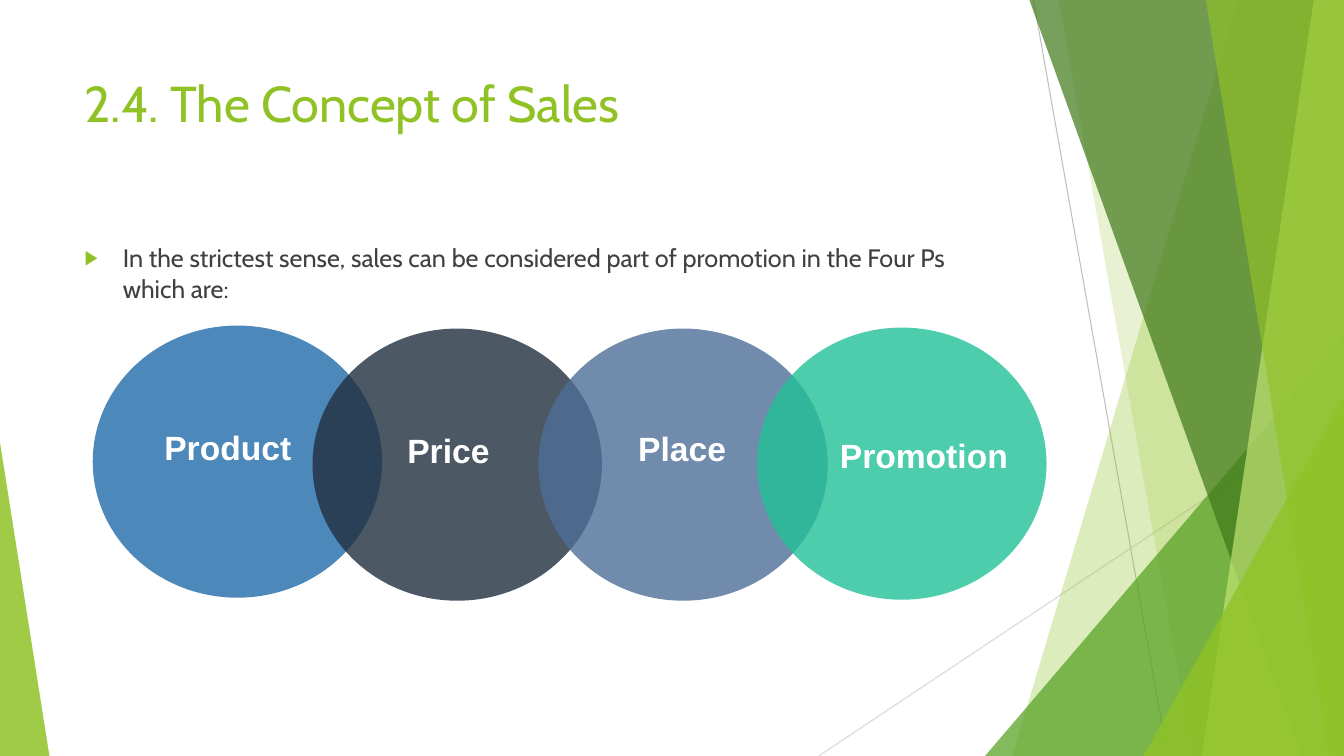
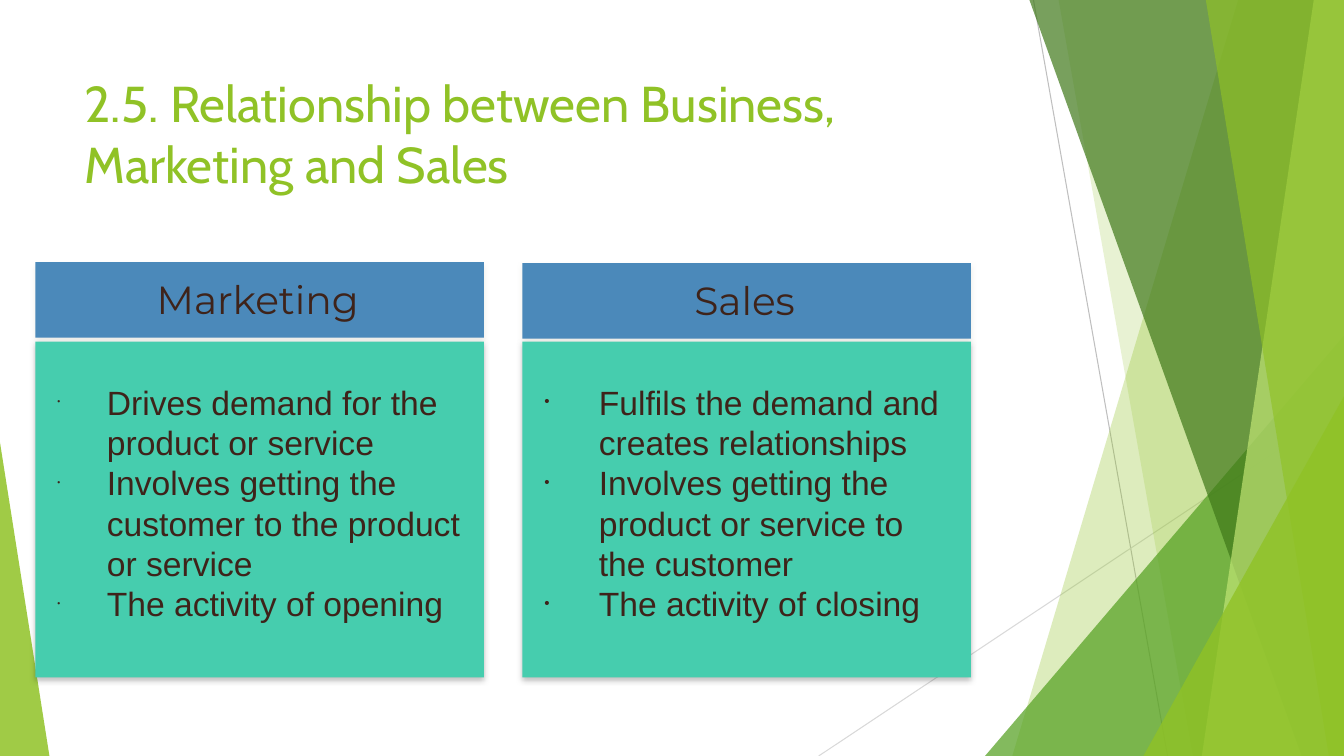
from lxml import etree
from pptx import Presentation
from pptx.dml.color import RGBColor
from pptx.enum.shapes import MSO_CONNECTOR, MSO_SHAPE
from pptx.enum.text import MSO_ANCHOR, PP_ALIGN
from pptx.oxml.ns import qn
from pptx.util import Pt

OVAL, RECTANGLE, TRIANGLE = MSO_SHAPE.OVAL, MSO_SHAPE.RECTANGLE, MSO_SHAPE.ISOSCELES_TRIANGLE
STRAIGHT = MSO_CONNECTOR.STRAIGHT
TOP, MIDDLE = MSO_ANCHOR.TOP, MSO_ANCHOR.MIDDLE
LEFT, CENTER = PP_ALIGN.LEFT, PP_ALIGN.CENTER

EMU_PER_PX = 9144
WIDTH, HEIGHT = 1333, 750

GREEN = RGBColor(0x90, 0xC2, 0x26)
MID_GREEN = RGBColor(0x54, 0xA0, 0x21)
DARK_GREEN = RGBColor(0x3F, 0x78, 0x19)
PALE_GREEN = RGBColor(0xC0, 0xE4, 0x74)
GRAY = RGBColor(0xBF, 0xBF, 0xBF)
LIGHT_GRAY = RGBColor(0xD9, 0xD9, 0xD9)
BODY_GRAY = RGBColor(0x40, 0x40, 0x40)
WHITE = RGBColor(0xFF, 0xFF, 0xFF)
BLACK = RGBColor(0x00, 0x00, 0x00)
BLUE = RGBColor(0x21, 0x6B, 0xA9)
NAVY = RGBColor(0x21, 0x2F, 0x3F)
SLATE = RGBColor(0x4D, 0x6F, 0x96)
TEAL = RGBColor(0x22, 0xC1, 0x99)
HEADER_BLUE = RGBColor(0x4B, 0x89, 0xBA)
CARD_TEAL = RGBColor(0x46, 0xCD, 0xAE)
HEADER_SHADOW = RGBColor(0xB8, 0xBA, 0xA8)
BROWN = RGBColor(0x3E, 0x23, 0x1A)

THIN_LINES = [((1025, 0), (1158, HEIGHT), GRAY), ((WIDTH, 403), (812, HEIGHT), LIGHT_GRAY)]
# name
BANDS = [
    ("edge", (1228, 1004), GREEN, 30),
    ("edge", (1050, 1183), GREEN, 20),
    ("triangle", (977, 333, 356, 417, 1), MID_GREEN, 72),
    ("edge", (1021, 1291), DARK_GREEN, 70),
    ("edge", (1303, 1192), PALE_GREEN, 70),
    ("edge", (1196, 1318), GREEN, 65),
    ("triangle", (1134, 393, 199, 357, 1), GREEN, 80),
    ("triangle", (0, 439, 49, 311, 0), GREEN, 85),
]

SALES_TITLE = "2.4. The Concept of Sales"
SALES_INTRO = ("In the strictest sense, sales can be considered part of promotion "
               "in the Four Ps which are:")
CIRCLE_SIZE = (287, 270)
FOUR_PS = [
    ("Product", (92, 323), (150, 411), BLUE),
    ("Price", (310, 326), (391, 414), NAVY),
    ("Place", (534, 326), (620, 412), SLATE),
    ("Promotion", (751, 325), (820, 418), TEAL),
]

RELATIONSHIP_TITLE = "2.5. Relationship between Business, Marketing and Sales"
CARD_WIDTH = 445
CARDS = [
    {"heading": "Marketing", "left": 35, "header_top": 260, "indent": 49, "bullet_size": 25,
     "points": ["Drives demand for the product or service",
                "Involves getting the customer to the product or service",
                "The activity of opening"]},
    {"heading": "Sales", "left": 518, "header_top": 261, "indent": 54, "bullet_size": 45,
     "points": ["Fulfils the demand and creates relationships",
                "Involves getting the product or service to the customer",
                "The activity of closing"]},
]


def px(length):
    return length * EMU_PER_PX


def add_color(parent, color, alpha):
    color_element = etree.SubElement(parent, qn("a:srgbClr"), val=str(color))
    etree.SubElement(color_element, qn("a:alpha"), val=str(alpha * 1000))


def paint(shape, color, alpha=100):
    shape.shadow.inherit = False
    shape.fill.solid()
    shape.fill.fore_color.rgb = color
    shape.line.fill.background()
    if alpha < 100:
        color_element = shape._element.spPr.find(qn("a:solidFill")).find(qn("a:srgbClr"))
        etree.SubElement(color_element, qn("a:alpha"), val=str(alpha * 1000))
    return shape


def add_shape(slide, kind, left, top, width, height, color, alpha=100):
    shape = slide.shapes.add_shape(kind, px(left), px(top), px(width), px(height))
    return paint(shape, color, alpha)


def add_soft_shadow(shape, color):
    effects = shape._element.spPr.find(qn("a:effectLst"))
    shadow = etree.SubElement(effects, qn("a:outerShdw"), blurRad=str(Pt(4)),
                              dist=str(Pt(2)), dir="5400000", algn="t", rotWithShape="0")
    add_color(shadow, color, 25)


def add_bullet(paragraph, character, indent, size, color=None):
    properties = paragraph._p.get_or_add_pPr()
    properties.set("marL", str(px(indent)))
    properties.set("indent", str(-px(indent)))
    if color is not None:
        add_color(etree.SubElement(properties, qn("a:buClr")), color, 100)
    etree.SubElement(properties, qn("a:buSzPct"), val=str(size * 1000))
    etree.SubElement(properties, qn("a:buFont"), typeface="Arial")
    etree.SubElement(properties, qn("a:buChar"), char=character)


def write(shape, lines, size, font, color, bold=False, align=LEFT, anchor=TOP,
          insets=(10, 5, 10, 5), bullet=None):
    frame = shape.text_frame
    frame.word_wrap = True
    frame.vertical_anchor = anchor
    (frame.margin_left, frame.margin_top,
     frame.margin_right, frame.margin_bottom) = map(px, insets)
    for index, line in enumerate(lines):
        paragraph = frame.add_paragraph() if index else frame.paragraphs[0]
        paragraph.alignment = align
        if bullet:
            add_bullet(paragraph, **bullet)
        run = paragraph.add_run()
        run.text = line
        run.font.size = Pt(size)
        run.font.name = font
        run.font.bold = bold
        run.font.color.rgb = color


def add_text(slide, left, top, width, height, lines, **text_format):
    box = slide.shapes.add_textbox(px(left), px(top), px(width), px(height))
    write(box, lines, **text_format)


def add_background(slide):
    for start, end, color in THIN_LINES:
        line = slide.shapes.add_connector(STRAIGHT, *map(px, start + end))
        line.line.color.rgb = color
        line.line.width = Pt(0.75)
        etree.SubElement(line._element.spPr, qn("a:effectLst"))
    for kind, geometry, color, alpha in BANDS:
        if kind == "edge":
            top_x, bottom_x = geometry
            builder = slide.shapes.build_freeform(px(top_x), 0)
            corners = [(WIDTH, 0), (WIDTH, HEIGHT), (bottom_x, HEIGHT)]
            builder.add_line_segments([(px(x), px(y)) for x, y in corners], close=True)
            paint(builder.convert_to_shape(), color, alpha)
        else:
            *box, apex = geometry
            add_shape(slide, TRIANGLE, *box, color, alpha).adjustments[0] = apex


def add_titled_slide(presentation, title):
    slide = presentation.slides.add_slide(presentation.slide_layouts[6])
    add_background(slide)
    add_text(slide, 74, 67, 940, 144, [title], size=36, font="Cabin", color=GREEN)
    return slide


def build_sales_slide(presentation):
    slide = add_titled_slide(presentation, SALES_TITLE)
    add_text(slide, 74, 236, 940, 424, [SALES_INTRO], size=18, font="Cabin", color=BODY_GRAY,
             bullet={"character": "▶", "indent": 38, "size": 80, "color": GREEN})
    for _, position, _, color in FOUR_PS:
        add_shape(slide, OVAL, *position, *CIRCLE_SIZE, color, 80)
    for label, _, position, _ in FOUR_PS:
        add_text(slide, *position, 242, 64, [label], size=24, font="Arial", color=WHITE,
                 bold=True, insets=(13, 13, 13, 13))


def build_relationship_slide(presentation):
    slide = add_titled_slide(presentation, RELATIONSHIP_TITLE)
    for card in CARDS:
        header = add_shape(slide, RECTANGLE, card["left"], card["header_top"],
                           CARD_WIDTH, 75, HEADER_BLUE)
        add_soft_shadow(header, HEADER_SHADOW)
        write(header, [card["heading"]], size=28, font="Montserrat", color=BROWN,
              align=CENTER, anchor=MIDDLE, insets=(6, 6, 10, 8))
        body = add_shape(slide, RECTANGLE, card["left"], 339, CARD_WIDTH, 333, CARD_TEAL)
        add_soft_shadow(body, BLACK)
        write(body, card["points"], size=24, font="Arial", color=BROWN, anchor=MIDDLE,
              insets=(22, 6, 22, 20),
              bullet={"character": "•", "indent": card["indent"], "size": card["bullet_size"]})


def main():
    presentation = Presentation()
    presentation.slide_width = px(WIDTH)
    presentation.slide_height = px(HEIGHT)
    build_sales_slide(presentation)
    build_relationship_slide(presentation)
    presentation.save("out.pptx")


if __name__ == "__main__":
    main()
